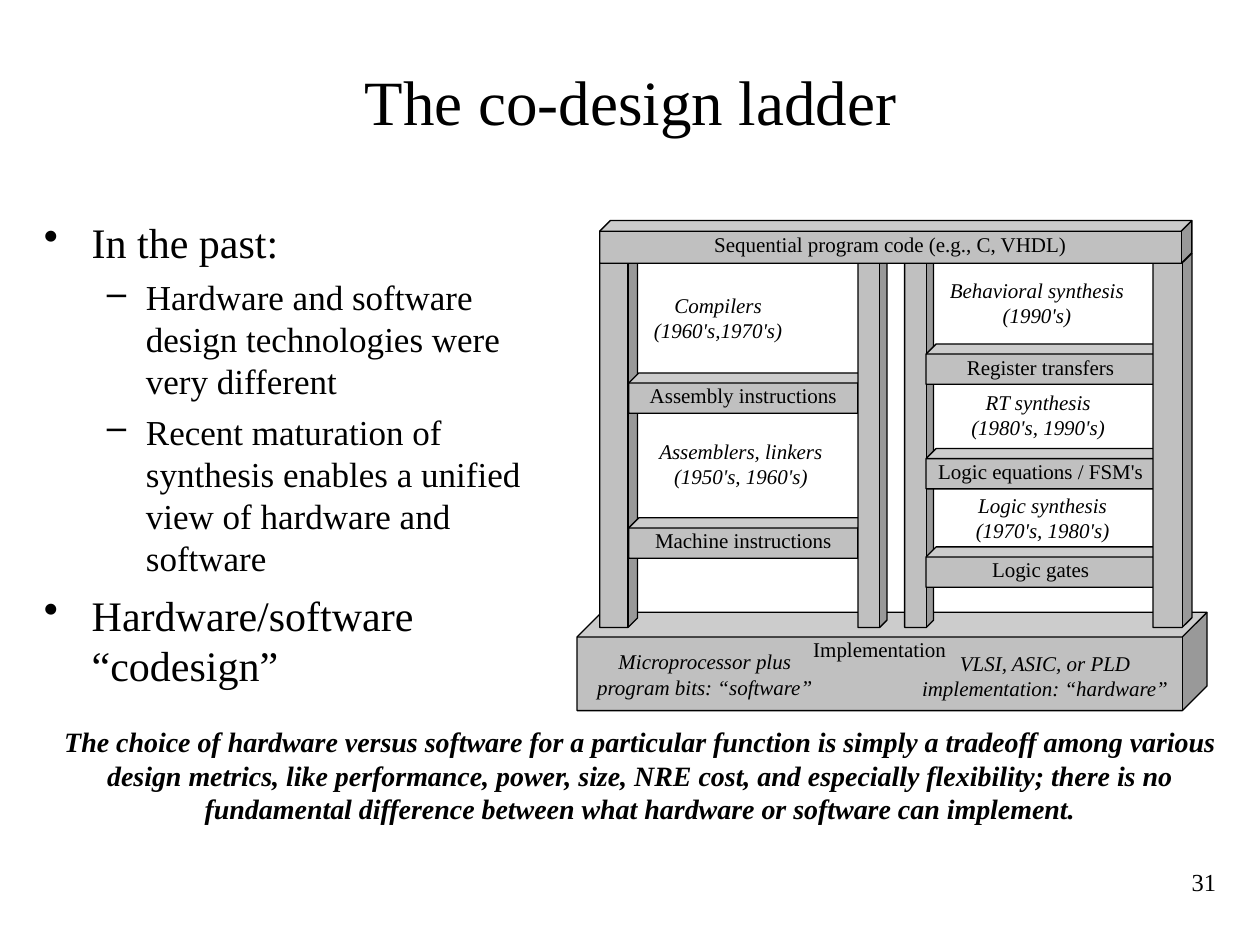
import pptx
from lxml import etree
from pptx.dml.color import RGBColor
from pptx.enum.shapes import MSO_SHAPE
from pptx.enum.text import MSO_ANCHOR, PP_ALIGN
from pptx.oxml.ns import qn
from pptx.util import Inches, Pt

COLORS = {"text": "000000", "line": "000000", "wood": "C0C0C0"}
FONT = "Times New Roman"


def write(shape, text, size, align=PP_ALIGN.CENTER, anchor=MSO_ANCHOR.TOP,
          italic=False, bold=False, margins=(0, 0)):
    """Fill a shape with text in one style; margins are horizontal, vertical."""
    frame = shape.text_frame
    frame.word_wrap = True
    frame.vertical_anchor = anchor
    frame.margin_left = frame.margin_right = Inches(margins[0])
    frame.margin_top = frame.margin_bottom = Inches(margins[1])
    frame.text = text
    for paragraph in frame.paragraphs:
        paragraph.alignment = align
        for run in paragraph.runs:
            run.font.name = FONT
            run.font.size = Pt(size)
            run.font.italic = italic
            run.font.bold = bold
            run.font.color.rgb = RGBColor.from_string(COLORS["text"])


def add_cube(left, top, width, height, text=""):
    cube = slide.shapes.add_shape(MSO_SHAPE.CUBE, Inches(left), Inches(top),
                                  Inches(width), Inches(height))
    cube.shadow.inherit = False
    cube.fill.solid()
    cube.fill.fore_color.rgb = RGBColor.from_string(COLORS["wood"])
    cube.line.color.rgb = RGBColor.from_string(COLORS["line"])
    cube.line.width = Pt(0.75)
    if text:
        write(cube, text, 12)


presentation = pptx.Presentation()
presentation.slide_width = Inches(10)
presentation.slide_height = Inches(7.5)
slide = presentation.slides.add_slide(presentation.slide_layouts[5])

title = slide.shapes.title
title.left, title.top = Inches(0.42), Inches(0.17)
title.width, title.height = Inches(9.17), Inches(1.25)
write(title, "The co-design ladder", 36, anchor=MSO_ANCHOR.MIDDLE, margins=(0, 0.05))

# Bulleted text: level and wording
bullets = [
    (0, "In the past:"),
    (1, "Hardware and software design technologies were very different"),
    (1, "Recent maturation of synthesis enables a unified view of hardware and software"),
    (0, "Hardware/software “codesign”"),
]
# Per level: bullet, left margin, hanging indent, size, space before
levels = [("•", 0.38, 0.38, 24, 6), ("–", 0.81, 0.31, 20, 5)]
body = slide.shapes.add_textbox(Inches(0.25), Inches(1.67), Inches(4.33), Inches(4.17))
write(body, "\n".join(text for level, text in bullets), 24,
      align=PP_ALIGN.LEFT, margins=(0.1, 0.05))
for index, (level, text) in enumerate(bullets):
    character, margin, hanging, size, space = levels[level]
    paragraph = body.text_frame.paragraphs[index]
    paragraph.level = level
    if index:
        paragraph.space_before = Pt(space)
    properties = paragraph._p.get_or_add_pPr()
    properties.set("marL", str(Inches(margin)))
    properties.set("indent", str(-Inches(hanging)))
    etree.SubElement(properties, qn("a:buChar")).set("char", character)
    paragraph.runs[0].font.size = Pt(size)

# Ladder, from back to front
post_top, post_height = 2.01, 2.97
rung_width, rung_height = 1.9, 0.32
software_left, hardware_left = 4.99, 7.35

add_cube(4.58, 4.86, 5, 0.78, "Implementation")
for left, width in [(4.76, 0.3), (7.18, 0.23)]:
    add_cube(left, post_top, width, post_height)
for left, top, text in [
    (software_left, 2.96, "Assembly instructions"),
    (software_left, 4.11, "Machine instructions"),
    (hardware_left, 2.73, "Register transfers"),
    (hardware_left, 4.34, "Logic gates"),
    (hardware_left, 3.56, "Logic equations / FSM's"),
]:
    add_cube(left, top, rung_width, rung_height, text)
for left, width in [(6.81, 0.23), (9.15, 0.31)]:
    add_cube(left, post_top, width, post_height)
add_cube(4.76, 1.75, 4.7, 0.34, "Sequential program code (e.g., C, VHDL)")

# Tools between the rungs and the two kinds of implementation
for left, top, width, height, text in [
    (5.1, 2.32, 1.2, 0.43, "Compilers\n(1960's,1970's)"),
    (5.07, 3.48, 1.62, 0.53, "Assemblers, linkers\n(1950's, 1960's)"),
    (7.43, 2.2, 1.6, 0.44, "Behavioral synthesis\n(1990's)"),
    (7.57, 3.09, 1.34, 0.47, "RT synthesis\n(1980's, 1990's)"),
    (7.57, 3.91, 1.41, 0.42, "Logic synthesis\n(1970's, 1980's)"),
    (4.63, 5.15, 1.93, 0.52, "Microprocessor plus program bits: “software”"),
    (7.3, 5.16, 1.99, 0.41, "VLSI, ASIC, or PLD implementation: “hardware”"),
]:
    label = slide.shapes.add_textbox(Inches(left), Inches(top), Inches(width), Inches(height))
    write(label, text, 12, italic=True)

conclusion = slide.shapes.add_textbox(Inches(0.33), Inches(5.83), Inches(9.5), Inches(0.64))
write(conclusion,
      "The choice of hardware versus software for a particular function is simply a "
      "tradeoff among various design metrics, like performance, power, size, NRE cost, "
      "and especially flexibility; there is no fundamental difference between what "
      "hardware or software can implement.",
      16, anchor=MSO_ANCHOR.MIDDLE, italic=True, bold=True)

page_number = slide.shapes.add_textbox(Inches(8.75), Inches(6.83), Inches(1), Inches(0.5))
write(page_number, "31", 14, align=PP_ALIGN.RIGHT, margins=(0.1, 0.05))

presentation.save("out.pptx")
